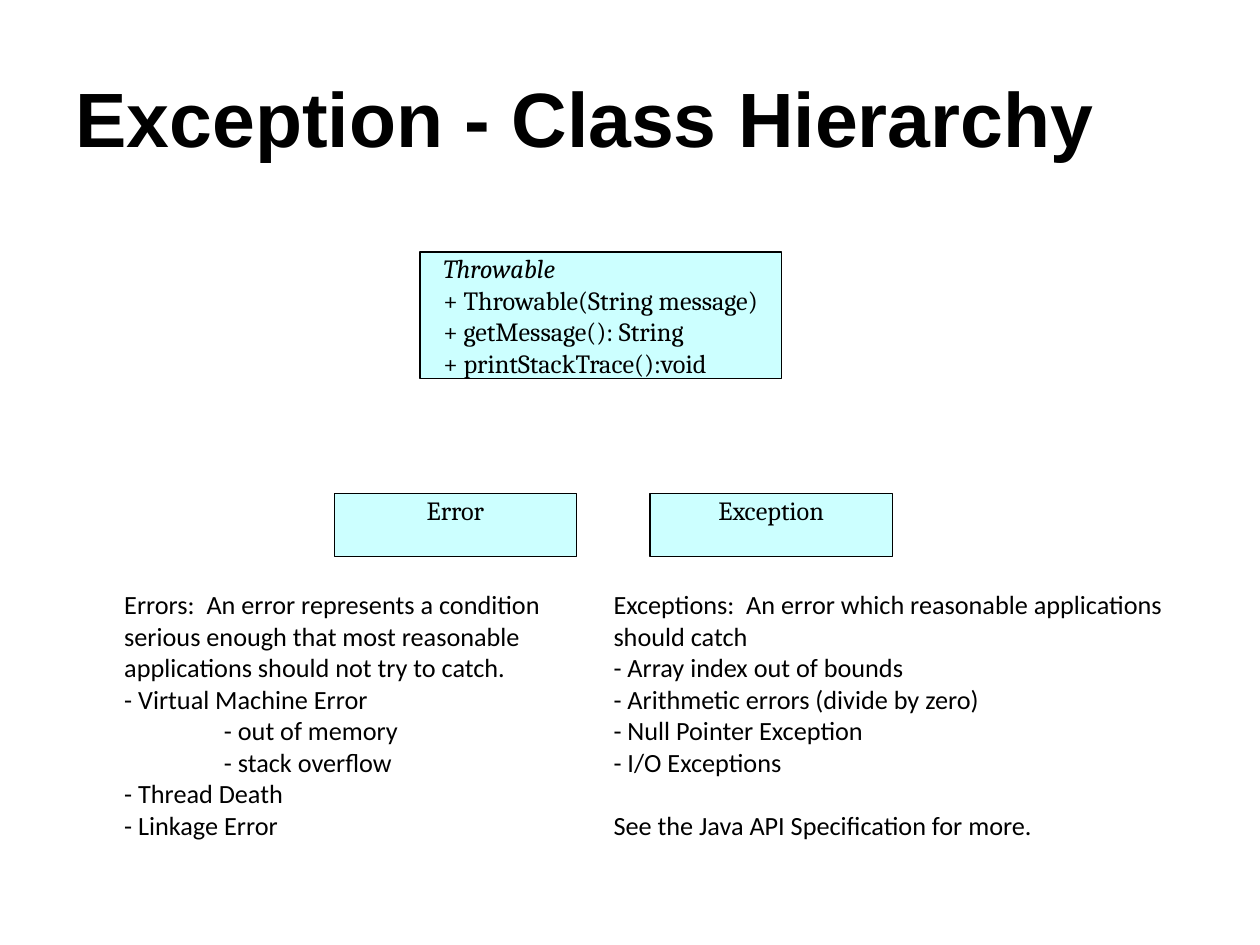
from typing import NamedTuple

import pptx
import pptx.dml.color
import pptx.enum.shapes
import pptx.enum.text
import pptx.util

Pt = pptx.util.Pt
Align = pptx.enum.text.PP_ALIGN
Anchor = pptx.enum.text.MSO_ANCHOR

BLACK = "000000"
PALE_CYAN = "CCFFFF"
TEXT_SIZE = 15
LINE_HEIGHT = 18


class Line(NamedTuple):
    text: str
    italic: bool = False
    indent: float = 0
    space_before: float = 0


class ClassBox(NamedTuple):
    left: float
    top: float
    width: float
    height: float
    lines: list[Line]
    align: Align = Align.CENTER
    anchor: Anchor = Anchor.TOP
    inset: float = 0


class Note(NamedTuple):
    left: float
    width: float
    lines: list[Line]


CLASS_BOXES = [
    ClassBox(240, 144, 206.5, 72.5, [
        Line("Throwable", italic=True),
        Line("+ Throwable(String message)"),
        Line("+ getMessage(): String"),
        Line("+ printStackTrace():void"),
    ], Align.LEFT, Anchor.MIDDLE, 13.3),
    ClassBox(191, 282.2, 138.5, 36, [Line("Error")]),
    ClassBox(371.5, 282.2, 138.5, 36, [Line("Exception")]),
]

NOTE_TOP = 336.2
NOTE_HEIGHT = 8 * LINE_HEIGHT
NOTES = [
    Note(71, 246, [
        Line("Errors:  An error represents a condition"),
        Line("serious enough that most reasonable"),
        Line("applications should not try to catch."),
        Line("- Virtual Machine Error"),
        Line("- out of memory", indent=57),
        Line("- stack overflow", indent=57),
        Line("- Thread Death"),
        Line("- Linkage Error"),
    ]),
    Note(350.6, 322, [
        Line("Exceptions:  An error which reasonable applications"),
        Line("should catch"),
        Line("- Array index out of bounds"),
        Line("- Arithmetic errors (divide by zero)"),
        Line("- Null Pointer Exception"),
        Line("- I/O Exceptions"),
        Line("See the Java API Specification for more.", space_before=LINE_HEIGHT),
    ]),
]


def color(value: str) -> pptx.dml.color.RGBColor:
    return pptx.dml.color.RGBColor.from_string(value)


def style_font(font, name: str, size: float) -> None:
    font.name = name
    font.size = Pt(size)
    font.color.rgb = color(BLACK)


def write_lines(frame, lines: list[Line], font_name: str, align: Align,
                anchor: Anchor, inset: float = 0) -> None:
    frame.word_wrap = True
    frame.vertical_anchor = anchor
    frame.margin_left = Pt(inset)
    frame.margin_right = frame.margin_top = frame.margin_bottom = Pt(0)
    for index, line in enumerate(lines):
        paragraph = frame.add_paragraph() if index else frame.paragraphs[0]
        paragraph.text = line.text
        paragraph.alignment = align
        if line.space_before:
            paragraph.space_before = Pt(line.space_before)
        if line.indent:
            paragraph._p.get_or_add_pPr().set("marL", str(Pt(line.indent)))
        style_font(paragraph.font, font_name, TEXT_SIZE)
        paragraph.font.italic = line.italic


def add_title(slide, text: str) -> None:
    title = slide.shapes.title
    title.left, title.top = Pt(36), Pt(21.6)
    title.width, title.height = Pt(648), Pt(90)
    title.text_frame.text = text
    title.text_frame.vertical_anchor = Anchor.MIDDLE
    paragraph = title.text_frame.paragraphs[0]
    paragraph.alignment = Align.LEFT
    style_font(paragraph.font, "Arial", 44)
    paragraph.font.bold = True


def add_class_box(slide, box: ClassBox) -> None:
    shape = slide.shapes.add_shape(
        pptx.enum.shapes.MSO_SHAPE.ROUNDED_RECTANGLE,
        Pt(box.left), Pt(box.top), Pt(box.width), Pt(box.height))
    shape.adjustments[0] = 0
    shape.shadow.inherit = False
    shape.fill.solid()
    shape.fill.fore_color.rgb = color(PALE_CYAN)
    shape.line.color.rgb = color(BLACK)
    shape.line.width = Pt(0.75)
    write_lines(shape.text_frame, box.lines, "Cambria", box.align, box.anchor, box.inset)


def add_note(slide, note: Note) -> None:
    shape = slide.shapes.add_textbox(
        Pt(note.left), Pt(NOTE_TOP), Pt(note.width), Pt(NOTE_HEIGHT))
    write_lines(shape.text_frame, note.lines, "Calibri", Align.LEFT, Anchor.TOP)


def main() -> None:
    presentation = pptx.Presentation()
    presentation.slide_width, presentation.slide_height = Pt(720), Pt(540)
    slide = presentation.slides.add_slide(presentation.slide_layouts[5])
    add_title(slide, "Exception - Class Hierarchy")
    for box in CLASS_BOXES:
        add_class_box(slide, box)
    for note in NOTES:
        add_note(slide, note)
    presentation.save("out.pptx")


if __name__ == "__main__":
    main()
